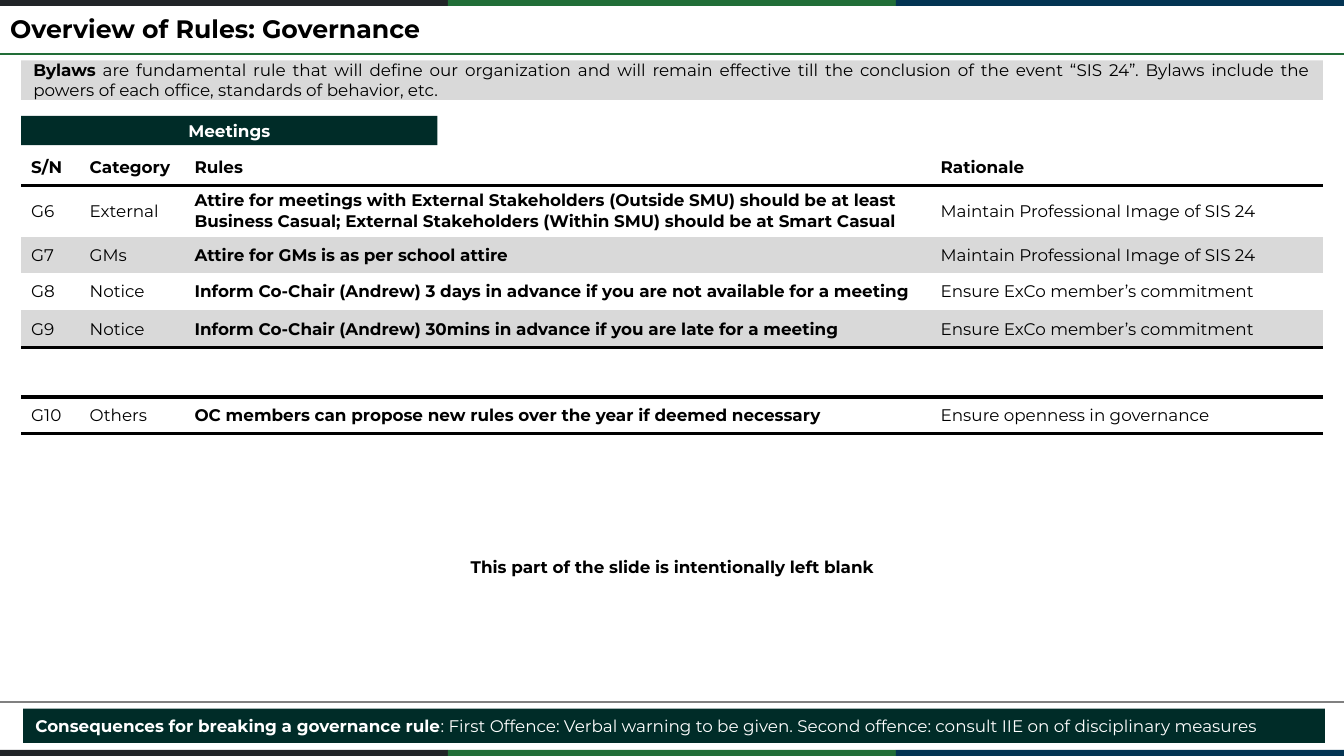
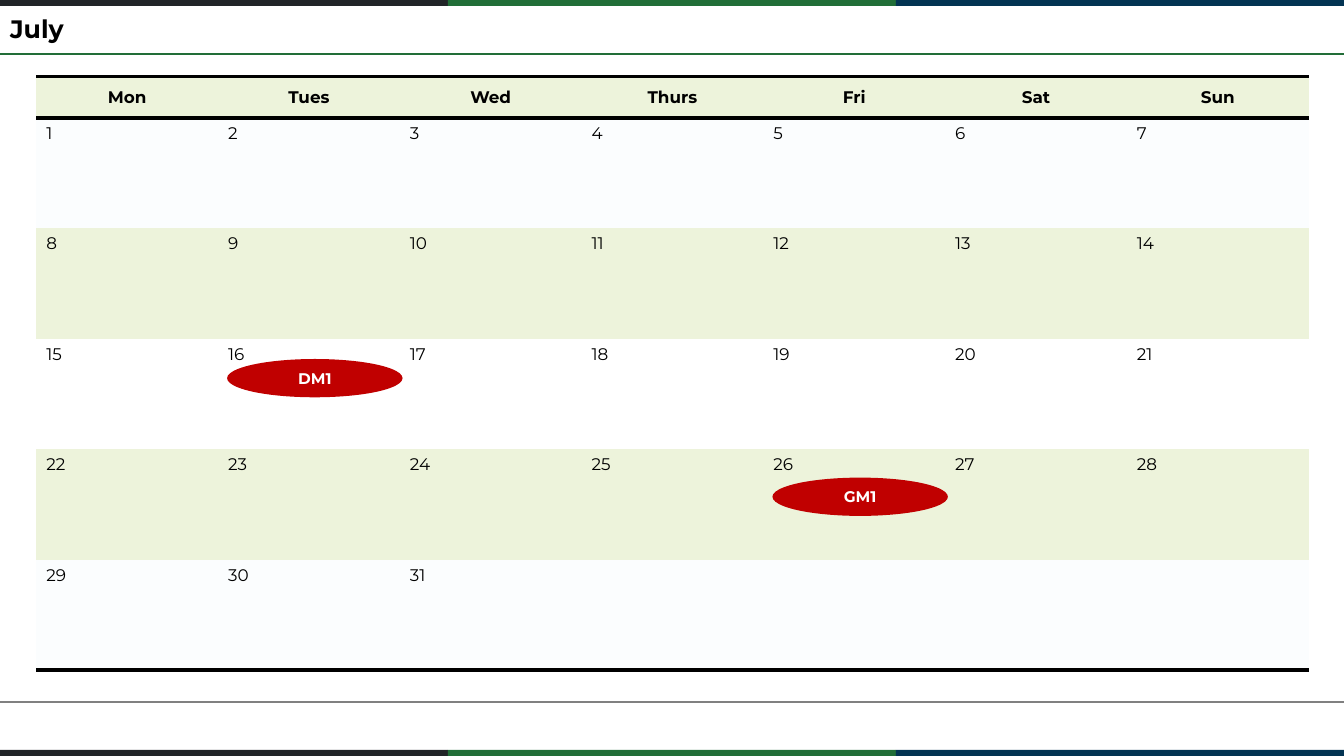
import lxml.etree
import pptx
import pptx.dml.color
import pptx.enum.shapes
import pptx.enum.text
import pptx.oxml.ns
import pptx.util

Inches, Pt = pptx.util.Inches, pptx.util.Pt
RGB = pptx.dml.color.RGBColor
ALIGN = pptx.enum.text.PP_ALIGN
ANCHOR = pptx.enum.text.MSO_ANCHOR
SHAPE = pptx.enum.shapes.MSO_SHAPE
qn = pptx.oxml.ns.qn

# Shared look
FONT = "Montserrat"
BLACK = RGB(0x00, 0x00, 0x00)
WHITE = RGB(0xFF, 0xFF, 0xFF)
CHARCOAL = RGB(0x21, 0x25, 0x28)
GREEN = RGB(0x21, 0x6E, 0x38)
NAVY = RGB(0x03, 0x34, 0x53)
RULE_GREEN = RGB(0x22, 0x6D, 0x38)
RULE_GREY = RGB(0x80, 0x80, 0x80)
DARK_TEAL = RGB(0x00, 0x2C, 0x28)
LIGHT_GREY = RGB(0xD9, 0xD9, 0xD9)
PALE_GREEN = RGB(0xED, 0xF3, 0xDB)
PALE_BLUE = RGB(0xFB, 0xFD, 0xFE)
RED = RGB(0xC0, 0x00, 0x00)
SLIDE_W, SLIDE_H = 13.33, 7.5
RULE_COLUMNS = [0.58, 1.04, 7.4, 3.89]


def write(frame, text, size=12, color=BLACK, bold=False, lead="",
          align=ALIGN.LEFT, anchor=ANCHOR.MIDDLE, margins=None, spacing=None):
    """Fill a text frame or cell; lead is a bold opening before the text."""
    frame.word_wrap = True
    frame.vertical_anchor = anchor
    if margins:
        (frame.margin_left, frame.margin_top,
         frame.margin_right, frame.margin_bottom) = map(Inches, margins)
    paragraph = frame.paragraphs[0]
    paragraph.alignment = align
    if spacing:
        paragraph.line_spacing = spacing
    for words, heavy in ((lead, True), (text, bold)):
        if words:
            run = paragraph.add_run()
            run.text = words
            run.font.name = FONT
            run.font.size = Pt(size)
            run.font.bold = heavy
            run.font.color.rgb = color


def add_block(slide, box, fill, kind=SHAPE.RECTANGLE):
    block = slide.shapes.add_shape(kind, *map(Inches, box))
    block.shadow.inherit = False
    block.fill.solid()
    block.fill.fore_color.rgb = fill
    block.line.fill.background()
    return block


def add_label(slide, box, text, **style):
    label = slide.shapes.add_textbox(*map(Inches, box))
    write(label.text_frame, text, **style)


def add_rule(slide, top, color):
    rule = slide.shapes.add_connector(
        pptx.enum.shapes.MSO_CONNECTOR.STRAIGHT,
        0, Inches(top), Inches(SLIDE_W), Inches(top))
    rule.line.color.rgb = color
    rule.line.width = Pt(1.5)
    lxml.etree.SubElement(rule.element.spPr, qn("a:effectLst"))


def set_borders(cell, top, bottom):
    """Draw heavy black edges where asked and clear the others."""
    properties = cell._tc.get_or_add_tcPr()
    for side, heavy in (("L", False), ("R", False), ("T", top), ("B", bottom)):
        edge = lxml.etree.SubElement(properties, qn("a:ln" + side))
        if heavy:
            edge.set("w", str(Pt(3)))
            fill = lxml.etree.SubElement(edge, qn("a:solidFill"))
            lxml.etree.SubElement(fill, qn("a:srgbClr"), val=str(BLACK))
        else:
            lxml.etree.SubElement(edge, qn("a:noFill"))


def add_grid(slide, left, top, columns, rows, texts, fills, heavy_lines, style):
    """Table whose heavy_lines count row edges from 0 at the top.

    style(row, column) gives the text format of a cell.
    """
    grid = slide.shapes.add_table(
        len(rows), len(columns), Inches(left), Inches(top),
        Inches(sum(columns)), Inches(sum(rows))).table
    grid.first_row = grid.horz_banding = False
    for c, width in enumerate(columns):
        grid.columns[c].width = Inches(width)
    for r, height in enumerate(rows):
        grid.rows[r].height = Inches(height)
        for c, text in enumerate(texts[r]):
            cell = grid.cell(r, c)
            set_borders(cell, r in heavy_lines, r + 1 in heavy_lines)
            if fills[r] is None:
                cell.fill.background()
            else:
                cell.fill.solid()
                cell.fill.fore_color.rgb = fills[r]
            options = style(r, c)
            cell.vertical_anchor = options.get("anchor", ANCHOR.MIDDLE)
            write(cell.text_frame, text, **{**options, "anchor": None})


def start_slide(deck, title):
    """Blank slide with the colour bands, rules and title."""
    slide = deck.slides.add_slide(deck.slide_layouts[6])
    band_w, band_h = SLIDE_W / 3, 0.06
    for top in (0, SLIDE_H - band_h):
        for i, color in enumerate((CHARCOAL, GREEN, NAVY)):
            add_block(slide, (i * band_w, top, band_w, band_h), color)
    add_rule(slide, 0.54, RULE_GREEN)
    add_rule(slide, 6.96, RULE_GREY)
    add_label(slide, (0.1, 0.13, 13.12, 0.34), title, size=18, bold=True,
              margins=(0, 0.05, 0.1, 0.05), spacing=0.9)
    return slide


def add_banner(slide, box, fill, lead, text, color):
    """Full-width strip that opens with a bold phrase."""
    banner = add_block(slide, box, fill)
    write(banner.text_frame, text, lead=lead, color=color,
          align=ALIGN.JUSTIFY, margins=(0.12, 0.05, 0.12, 0.05))


def governance_slide(deck):
    slide = start_slide(deck, "Overview of Rules: Governance")
    left, width = 0.21, sum(RULE_COLUMNS)

    # Introduction and section heading
    add_banner(slide, (left, 0.6, width, 0.39), LIGHT_GREY, "Bylaws",
               " are fundamental rule that will define our organization and "
               "will remain effective till the conclusion of the event "
               "“SIS 24”. Bylaws include the powers of each office, "
               "standards of behavior, etc.", BLACK)
    heading = add_block(slide, (left, 1.15, 4.13, 0.29), DARK_TEAL)
    write(heading.text_frame, "Meetings", color=WHITE, bold=True,
          align=ALIGN.CENTER)

    # Meeting rules
    image, commitment = ("Maintain Professional Image of SIS 24",
                         "Ensure ExCo member’s commitment")
    meeting_rules = [
        ("S/N", "Category", "Rules", "Rationale"),
        ("G6", "External",
         "Attire for meetings with External Stakeholders (Outside SMU) should "
         "be at least Business Casual; External Stakeholders (Within SMU) "
         "should be at Smart Casual", image),
        ("G7", "GMs", "Attire for GMs is as per school attire", image),
        ("G8", "Notice", "Inform Co-Chair (Andrew) 3 days in advance if you "
         "are not available for a meeting", commitment),
        ("G9", "Notice", "Inform Co-Chair (Andrew) 30mins in advance if you "
         "are late for a meeting", commitment),
    ]
    add_grid(slide, left, 1.48, RULE_COLUMNS, [0.36, 0.51, 0.36, 0.37, 0.37],
             meeting_rules, [None, None, LIGHT_GREY, None, LIGHT_GREY], {1, 5},
             lambda r, c: {"bold": r == 0 or c == 2})

    # Other rules
    other_rules = [
        ("G10", "Others", "OC members can propose new rules over the year if "
         "deemed necessary", "Ensure openness in governance")]
    add_grid(slide, left, 3.94, RULE_COLUMNS, [0.36], other_rules, [WHITE],
             {0, 1}, lambda r, c: {"bold": c == 2})

    # Blank area and consequences
    add_label(slide, (4.32, 5.46, 4.7, 0.33),
              "This part of the slide is intentionally left blank",
              bold=True, align=ALIGN.CENTER)
    add_banner(slide, (0.23, 7.03, width, 0.34), DARK_TEAL,
               "Consequences for breaking a governance rule",
               ": First Offence: Verbal warning to be given. Second offence: "
               "consult IIE on of disciplinary measures", WHITE)


def month_slide(deck, month, days, events):
    """Calendar of a month that starts on a Monday."""
    slide = start_slide(deck, month)
    left, top, width, height, head_h = 0.36, 0.76, 12.62, 5.89, 0.41
    weekdays = ["Mon", "Tues", "Wed", "Thurs", "Fri", "Sat", "Sun"]
    weeks = [[str(d) if d <= days else "" for d in range(first, first + 7)]
             for first in range(1, days + 1, 7)]
    day_w, week_h = width / 7, (height - head_h) / len(weeks)

    def day_style(r, c):
        if r == 0:
            return {"bold": True, "align": ALIGN.CENTER}
        return {"anchor": ANCHOR.TOP}

    add_grid(slide, left, top, [day_w] * 7, [head_h] + [week_h] * len(weeks),
             [weekdays] + weeks,
             [PALE_GREEN, PALE_BLUE, PALE_GREEN, None, PALE_GREEN, PALE_BLUE],
             {0, 1, 1 + len(weeks)}, day_style)

    # Events, placed inside their day
    for day, name, drop in events:
        week, weekday = divmod(day - 1, 7)
        box = (left + weekday * day_w + 0.09,
               top + head_h + week * week_h + drop, 1.74, 0.38)
        event = add_block(slide, box, RED, SHAPE.OVAL)
        write(event.text_frame, name, size=11, color=WHITE, bold=True,
              align=ALIGN.CENTER, margins=(0, 0, 0, 0))


def main():
    deck = pptx.Presentation()
    deck.slide_width, deck.slide_height = Inches(SLIDE_W), Inches(SLIDE_H)
    governance_slide(deck)
    month_slide(deck, "July", 31, [(26, "GM1", 0.28), (16, "DM1", 0.2)])
    deck.save("out.pptx")


if __name__ == "__main__":
    main()
